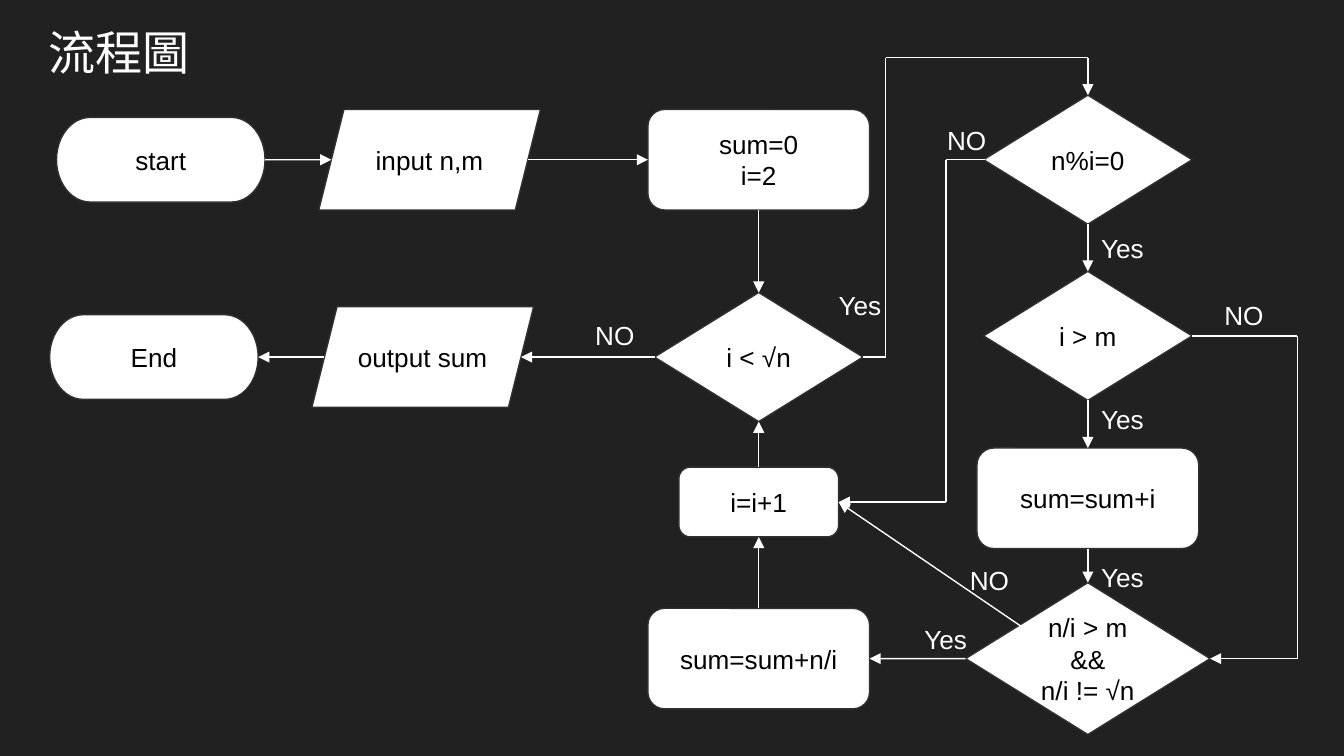
"""Build a dark flowchart slide that sums divisors in a loop."""
from itertools import pairwise

from lxml import etree
from pptx import Presentation
from pptx.dml.color import RGBColor
from pptx.enum.shapes import MSO_CONNECTOR as Connector, MSO_SHAPE as Shape
from pptx.enum.text import MSO_ANCHOR as Anchor, PP_ALIGN as Align
from pptx.oxml.ns import qn
from pptx.util import Cm, Pt

COLORS = {"back": "212121", "light": "FFFFFF", "dark": "000000", "edge": "303030"}
TOP, LEFT, BOTTOM, RIGHT = range(4)


class Flowchart:
    def __init__(self, deck):
        self.font, self.size, self.inset = "Arial", 14, Cm(0.25)
        self.page = deck.slides.add_slide(deck.slide_layouts[6])
        fill = self.page.background.fill
        fill.solid()
        fill.fore_color.rgb = self.color("back")

    def color(self, name):
        return RGBColor.from_string(COLORS[name])

    def set_text(self, shape, text, color, size, align):
        frame = shape.text_frame
        frame.word_wrap = True
        frame.margin_left = frame.margin_right = self.inset
        frame.margin_top = frame.margin_bottom = self.inset
        frame.text = text
        for para in frame.paragraphs:
            para.alignment = align
            para.font.name = self.font
            para.font.size = Pt(size)
            para.font.color.rgb = self.color(color)

    def label(self, text, left, top, width=1.65, height=1.12, size=None):
        box = self.page.shapes.add_textbox(Cm(left), Cm(top), Cm(width), Cm(height))
        self.set_text(box, text, "light", size or self.size, Align.LEFT)

    def node(self, kind, text, x, y, width=4.19, height=1.9):
        shape = self.page.shapes.add_shape(
            kind, Cm(x - width / 2), Cm(y - height / 2), Cm(width), Cm(height))
        shape.shadow.inherit = False
        shape.fill.solid()
        shape.fill.fore_color.rgb = self.color("light")
        shape.line.color.rgb = self.color("edge")
        shape.line.width = Pt(0.75)
        shape.text_frame.vertical_anchor = Anchor.MIDDLE
        self.set_text(shape, text, "dark", self.size, Align.CENTER)
        return shape

    def terminator(self, text, x, y):
        return self.node(Shape.FLOWCHART_TERMINATOR, text, x, y, 3.94, 1.6)

    def data(self, text, x, y):
        return self.node(Shape.PARALLELOGRAM, text, x, y)

    def process(self, text, x, y, *size):
        return self.node(Shape.ROUNDED_RECTANGLE, text, x, y, *size)

    def decision(self, text, x, y, width=3.94, height=2.44):
        return self.node(Shape.DIAMOND, text, x, y, width, height)

    def line(self, start, end, arrow=True):
        line = self.page.shapes.add_connector(Connector.STRAIGHT, *start, *end)
        line.line.color.rgb = self.color("light")
        line.line.width = Pt(0.75)
        properties = line.element.spPr
        if arrow:
            etree.SubElement(properties.find(qn("a:ln")), qn("a:tailEnd"), type="triangle")
        etree.SubElement(properties, qn("a:effectLst"))
        return line

    def side(self, shape, side):
        slant = shape.height // 8 if shape.auto_shape_type == Shape.PARALLELOGRAM else 0
        x = {LEFT: slant, RIGHT: shape.width - slant}.get(side, shape.width // 2)
        y = {TOP: 0, BOTTOM: shape.height}.get(side, shape.height // 2)
        return shape.left + x, shape.top + y

    def link(self, source, out, target, into):
        line = self.line(self.side(source, out), self.side(target, into))
        if source.auto_shape_type != Shape.PARALLELOGRAM:
            line.begin_connect(source, out)
        if target.auto_shape_type != Shape.PARALLELOGRAM:
            line.end_connect(target, into)

    def route(self, *points):
        legs = list(pairwise([(Cm(x), Cm(y)) for x, y in points]))
        for leg in legs:
            self.line(*leg, arrow=leg == legs[-1])


deck = Presentation()
deck.slide_width, deck.slide_height = Cm(25.4), Cm(14.29)
chart = Flowchart(deck)
chart.label("流程圖", 0.66, 0.2, 23.67, 1.6, size=25.2)

MIDDLE, RIGHTMOST = 14.34, 20.56
FIRST, SECOND, THIRD, LAST = 3.02, 6.75, 9.49, 12.45

start = chart.terminator("start", 3.04, FIRST)
entry = chart.data("input n,m", 8.12, FIRST)
setup = chart.process("sum=0\ni=2", MIDDLE, FIRST)
loop = chart.decision("i < √n", MIDDLE, SECOND)
result = chart.data("output sum", 7.99, SECOND)
end = chart.terminator("End", 2.91, SECOND)
step = chart.process("i=i+1", MIDDLE, THIRD, 3.02, 1.32)
add_pair = chart.process("sum=sum+n/i", MIDDLE, LAST)
divides = chart.decision("n%i=0", RIGHTMOST, FIRST)
above = chart.decision("i > m", RIGHTMOST, 6.35)
add_divisor = chart.process("sum=sum+i", RIGHTMOST, 9.42)
pair = chart.decision("n/i > m\n&&\nn/i != √n", RIGHTMOST, LAST, 4.62, 2.87)

for link in (
    (start, RIGHT, entry, LEFT),
    (entry, RIGHT, setup, LEFT),
    (setup, BOTTOM, loop, TOP),
    (loop, LEFT, result, RIGHT),
    (result, LEFT, end, RIGHT),
    (step, TOP, loop, BOTTOM),
    (add_pair, TOP, step, BOTTOM),
    (pair, LEFT, add_pair, RIGHT),
    (divides, BOTTOM, above, TOP),
    (above, BOTTOM, add_divisor, TOP),
    (add_divisor, BOTTOM, pair, TOP),
):
    chart.link(*link)

chart.route((16.31, SECOND), (16.74, SECOND), (16.74, 1.09), (RIGHTMOST, 1.09), (RIGHTMOST, 1.8))
chart.route((18.62, FIRST), (17.88, FIRST), (17.88, THIRD), (15.85, THIRD))
chart.route((22.53, 6.35), (24.52, 6.35), (24.52, LAST), (22.87, LAST))
chart.route((19.33, 11.86), (15.85, THIRD))

for text, left, top in (
    ("Yes", RIGHTMOST, 4.14),
    ("Yes", RIGHTMOST, 7.37),
    ("Yes", RIGHTMOST, 10.36),
    ("Yes", 17.22, 11.53),
    ("Yes", 15.6, 5.23),
    ("NO", 17.65, 2.11),
    ("NO", 22.89, 5.41),
    ("NO", 18.08, 10.41),
    ("NO", 11, 5.79),
):
    chart.label(text, left, top)

deck.save("out.pptx")
